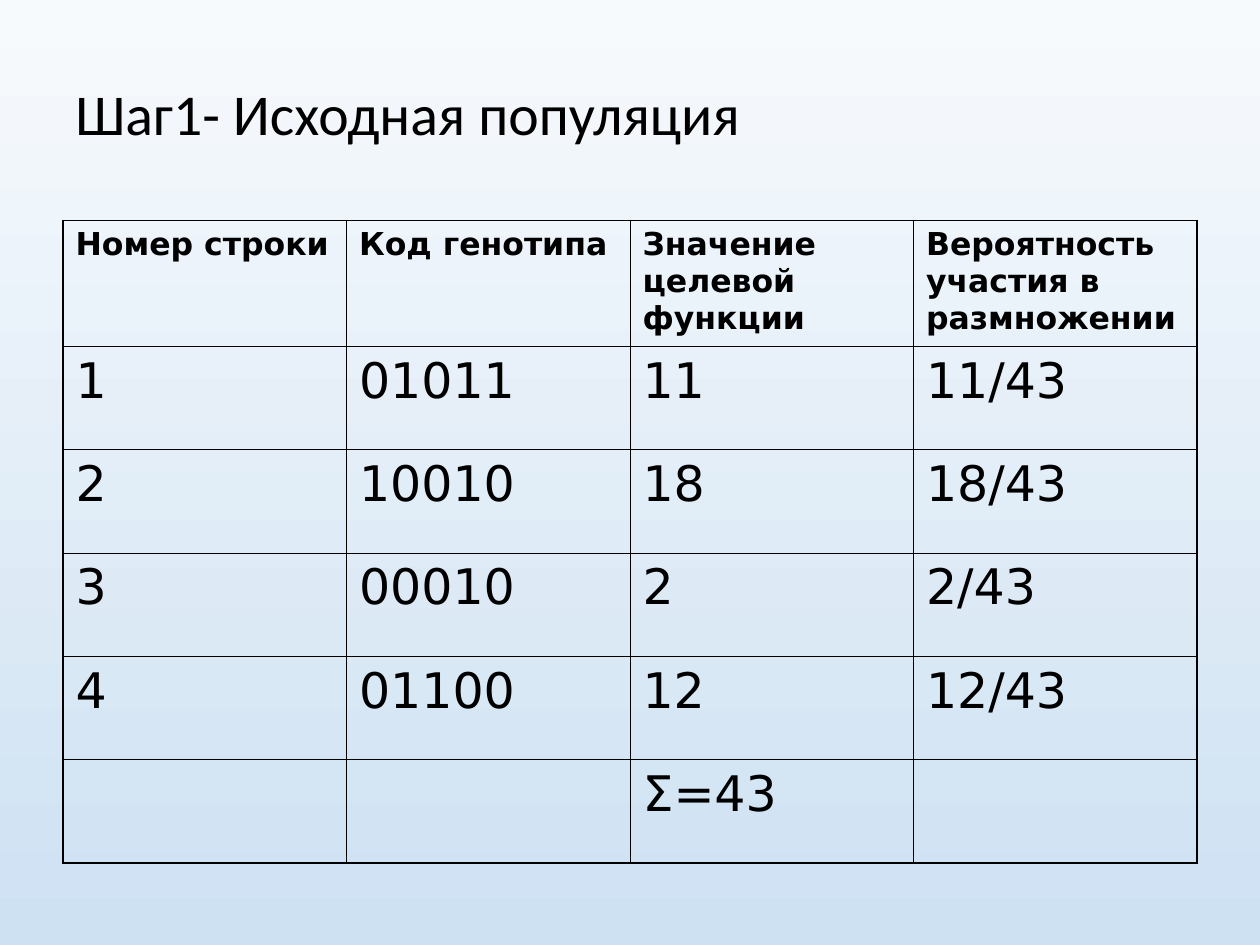
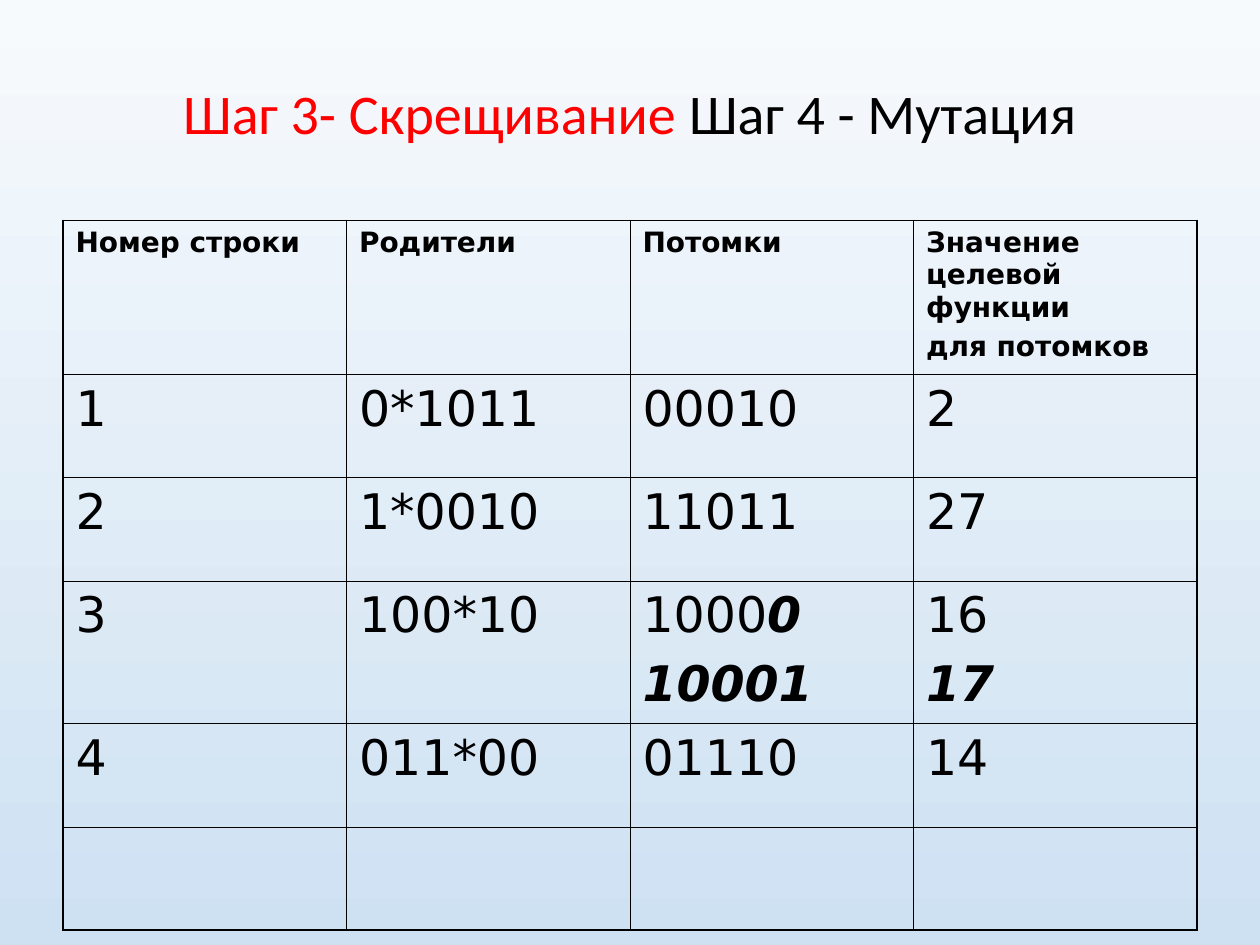
from dataclasses import dataclass

import lxml.etree
import pptx
import pptx.dml.color
import pptx.enum.text
import pptx.oxml.ns
import pptx.util

PX = 9144  # EMU per px, 100 px to the inch


@dataclass(frozen=True)
class Theme:
    sky_top: str = "F7FAFD"
    sky_bottom: str = "CEE1F2"
    ink: str = "000000"
    accent: str = "FF0000"
    title_font: str = "Calibri"
    table_font: str = "DejaVu Sans"
    body_size: int = 28
    outer_line: float = 1.08
    inner_line: float = 0.45


THEME = Theme()
LEFT, ALIGN = 0, pptx.enum.text.PP_ALIGN
PAGE_SIZE = (1000, 750)
TITLE_BOX = (50, 30, 900, 125)
TABLE_ORIGIN = (50, 175)
TABLE_WIDTH = 900
ROW_HEIGHT = 82


@dataclass(frozen=True)
class Span:
    text: str
    color: str = THEME.ink
    bold: bool = False
    italic: bool = False


def mutated(text):
    return Span(text, bold=True, italic=True)


def rgb(value):
    return pptx.dml.color.RGBColor.from_string(value)


def emu(*lengths):
    return [pptx.util.Emu(length * PX) for length in lengths]


def write_paragraph(para, spans, font, size):
    """Fill one paragraph with plain strings or Spans."""
    for item in spans:
        span = item if isinstance(item, Span) else Span(item)
        run = para.add_run()
        run.text = span.text
        run.font.name = font
        run.font.size = pptx.util.Pt(size)
        run.font.bold = span.bold
        run.font.italic = span.italic
        run.font.color.rgb = rgb(span.color)


def paint_background(master):
    fill = master.background.fill
    fill.gradient()
    fill.gradient_angle = 270
    for stop, color in zip(fill.gradient_stops, (THEME.sky_top, THEME.sky_bottom)):
        stop.color.rgb = rgb(color)


def add_title(page, box, spans, size, alignment):
    frame = page.shapes.add_textbox(*emu(*box)).text_frame
    frame.word_wrap = True
    frame.vertical_anchor = pptx.enum.text.MSO_ANCHOR.MIDDLE
    para = frame.paragraphs[0]
    para.alignment = alignment
    para.line_spacing = 0.9
    write_paragraph(para, spans, THEME.title_font, size)


def add_border(cell, side, width):
    properties = cell._tc.get_or_add_tcPr()
    line = lxml.etree.SubElement(properties, pptx.oxml.ns.qn(f"a:ln{side}"),
                                 w=str(pptx.util.Pt(width)))
    fill = lxml.etree.SubElement(line, pptx.oxml.ns.qn("a:solidFill"))
    lxml.etree.SubElement(fill, pptx.oxml.ns.qn("a:srgbClr"), val=THEME.ink)


def write_cell(cell, paragraphs, size):
    """Write the paragraphs, each spaced by a quarter of its type size."""
    frame = cell.text_frame
    for index, spans in enumerate(paragraphs):
        para = frame.add_paragraph() if index else frame.paragraphs[0]
        para.space_before = pptx.util.Pt(size / 4)
        write_paragraph(para, spans, THEME.table_font, size)


def add_grid(page, origin, width, rows, heights, header_size):
    """A cell is a string, or a list of paragraphs that are lists of spans."""
    row_count, column_count = len(rows), len(rows[0])
    table = page.shapes.add_table(
        row_count, column_count, *emu(*origin, width, sum(heights))).table
    table.first_row = table.horz_banding = False
    for column in table.columns:
        column.width = pptx.util.Emu(width * PX // column_count)
    for r, (row, height) in enumerate(zip(rows, heights)):
        table.rows[r].height = pptx.util.Emu(height * PX)
        for c, content in enumerate(row):
            cell = table.cell(r, c)
            outer_sides = {"L": c == 0, "R": c == column_count - 1,
                           "T": r == 0, "B": r == row_count - 1}
            for side, is_outer in outer_sides.items():
                add_border(cell, side, THEME.outer_line if is_outer else THEME.inner_line)
            cell.fill.background()
            if content:
                paragraphs = [[content]] if isinstance(content, str) else content
                write_cell(cell, paragraphs, THEME.body_size if r else header_size)


def add_step_page(deck, title, title_size, alignment, rows, heights, header_size):
    page = deck.slides.add_slide(deck.slide_layouts[6])
    add_title(page, TITLE_BOX, title, title_size, alignment)
    header = [[[Span(span, bold=True)] for span in label.split("\n")] for label in rows[0]]
    add_grid(page, TABLE_ORIGIN, TABLE_WIDTH, [header, *rows[1:]], heights, header_size)


def main():
    deck = pptx.Presentation()
    deck.slide_width, deck.slide_height = emu(*PAGE_SIZE)
    paint_background(deck.slide_master)

    # Step 1: initial population
    add_step_page(
        deck, ["Шаг1- Исходная популяция"], 33, ALIGN.LEFT,
        [
            ["Номер строки", "Код генотипа", "Значение целевой функции",
             "Вероятность участия в размножении"],
            ["1", "01011", "11", "11/43"],
            ["2", "10010", "18", "18/43"],
            ["3", "00010", "2", "2/43"],
            ["4", "01100", "12", "12/43"],
            ["", "", "Σ=43", ""],
        ],
        [100] + [ROW_HEIGHT] * 5, header_size=18)

    # Steps 3 and 4: crossover and mutation
    add_step_page(
        deck, [Span("Шаг 3- Скрещивание ", THEME.accent), "Шаг 4 - Мутация"], 32, ALIGN.CENTER,
        [
            ["Номер строки", "Родители", "Потомки",
             "Значение целевой функции\nдля потомков"],
            ["1", "0*1011", "00010", "2"],
            ["2", "1*0010", "11011", "27"],
            ["3", "100*10", [["1000", mutated("0")], [mutated("10001")]],
             [["16"], [mutated("17")]]],
            ["4", "011*00", "01110", "14"],
            ["", "", "", ""],
        ],
        [122, ROW_HEIGHT, ROW_HEIGHT, 113, ROW_HEIGHT, ROW_HEIGHT], header_size=16)

    deck.save("out.pptx")


if __name__ == "__main__":
    main()
